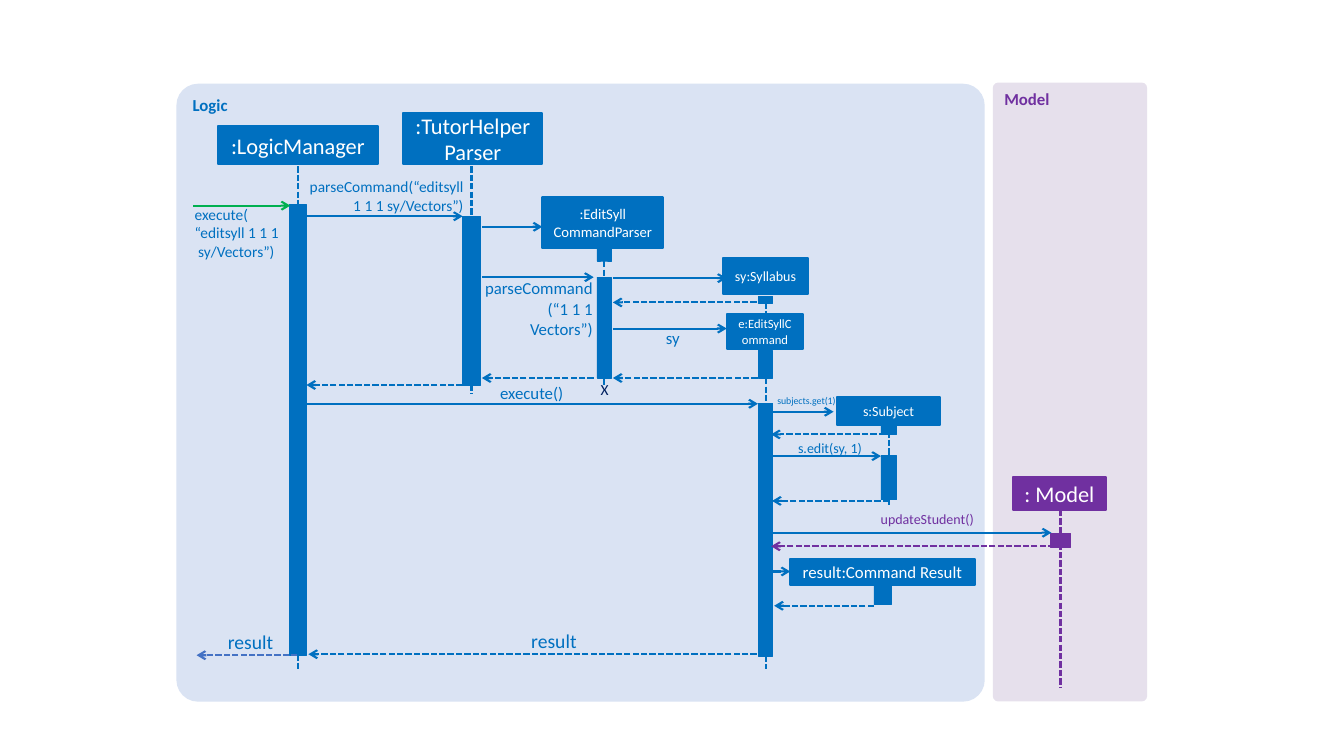
import pptx
import pptx.dml.color
import pptx.enum.dml
import pptx.enum.shapes
import pptx.enum.text
import pptx.oxml
import pptx.oxml.ns
import pptx.util

Pt = pptx.util.Pt
RGBColor = pptx.dml.color.RGBColor
SHAPE = pptx.enum.shapes.MSO_SHAPE
ALIGN = pptx.enum.text.PP_ALIGN
ANCHOR = pptx.enum.text.MSO_ANCHOR

BLUE = RGBColor(0x00, 0x70, 0xC0)
PURPLE = RGBColor(0x70, 0x30, 0xA0)
GREEN = RGBColor(0x00, 0xB0, 0x50)
INDIGO = RGBColor(0x44, 0x72, 0xC4)
NAVY = RGBColor(0x00, 0x20, 0x60)
WHITE = RGBColor(0xFF, 0xFF, 0xFF)
LOGIC_FILL = RGBColor(0xDA, 0xE3, 0xF3)
MODEL_FILL = RGBColor(0xE6, 0xE0, 0xEC)

# Horizontal centre of each participant's lifeline
MANAGER, PARSER, COMMAND_PARSER = 212.8, 336.8, 431.4
COMMAND, RESULT, SUBJECT, MODEL = 547, 630.4, 634.8, 757.5

# Layer title, box, fill, title colour
LAYERS = [
    ("Model", (709.2, 59, 110.2, 442.1), MODEL_FILL, PURPLE),
    ("Logic", (126, 59.8, 577.4, 441.4), LOGIC_FILL, BLUE),
]

# Lifeline centre, top, bottom, colour
LIFELINES = [
    (MANAGER, 118.8, 478.8, BLUE),
    (PARSER, 118.8, 281.5, BLUE),
    (COMMAND_PARSER, 186.5, 275, BLUE),
    (COMMAND, 216, 478, BLUE),
    (SUBJECT, 308.2, 362.2, BLUE),
    (MODEL, 364.3, 491.8, PURPLE),
]

# Lifeline centre, top, width, height, colour
ACTIVATIONS = [
    (MANAGER, 146.2, 11.5, 321.8, BLUE),
    (PARSER, 154.8, 13, 120.2, BLUE),
    (COMMAND_PARSER, 169.2, 10.1, 17.3, BLUE),
    (COMMAND_PARSER, 198, 10.1, 72, BLUE),
    (COMMAND, 211.7, 10.1, 5, BLUE),
    (COMMAND, 250.6, 10.1, 19.4, BLUE),
    (COMMAND, 288, 10.1, 180.7, BLUE),
    (RESULT, 418.3, 12.2, 13.7, BLUE),
    (SUBJECT, 302.4, 11.2, 7.9, BLUE),
    (SUBJECT, 325.4, 11.2, 31.7, BLUE),
    (MODEL, 380.9, 14.4, 10.1, PURPLE),
]

# Participant name, box, text size, fill
PARTICIPANTS = [
    (":LogicManager", (155.5, 90, 114.5, 27.4), 16, BLUE),
    (":TutorHelperParser", (288, 80.6, 99.4, 36.7), 16, BLUE),
    (":EditSyll\vCommandParser", (387.4, 141.1, 86.4, 36), 10.5, BLUE),
    ("sy:Syllabus", (516.2, 184.3, 61.2, 25.9), 10, BLUE),
    ("e:EditSyllCommand", (519.1, 224.6, 54.7, 24.5), 9, BLUE),
    ("s:Subject", (597.6, 283.7, 74.2, 20.2), 10, BLUE),
    ("result:Command Result", (564.5, 399.6, 131.8, 18), 12, BLUE),
    (": Model", (723.6, 340.6, 66.2, 23.8), 16, PURPLE),
]

# Sender x, receiver x, y, colour
CALLS = [
    (138.2, 207.4, 146.9, GREEN),
    (218.9, 330.5, 154.5, BLUE),
    (344.2, 387.4, 162, BLUE),
    (344.2, 424.1, 198, BLUE),
    (437.8, 519.1, 198.7, BLUE),
    (437.8, 519.1, 234.7, BLUE),
    (218.9, 541.4, 288.4, BLUE),
    (550.8, 595.4, 294.1, BLUE),
    (551.5, 629.3, 325.8, BLUE),
    (551.5, 751, 380.5, BLUE),
    (550.1, 564.5, 408.2, BLUE),
]
REPLIES = [
    (546.5, 437.8, 216, BLUE),
    (547.2, 437.8, 270, BLUE),
    (424.1, 344.2, 270, BLUE),
    (330.5, 218.9, 275, BLUE),
    (632.2, 550.8, 310.3, BLUE),
    (635, 551.5, 357.8, BLUE),
    (753.1, 550.8, 390.2, PURPLE),
    (624.2, 553, 432.7, BLUE),
    (546.5, 220.3, 467.3, BLUE),
    (212.4, 140.4, 468, INDIGO),
]

# Wording, box, text size, colour, alignment
LABELS = [
    ("execute(\n“editsyll 1 1 1\n sy/Vectors”)", (139, 146.2, 97.2, 40.3), 11, BLUE, ALIGN.LEFT),
    ("parseCommand(“editsyll 1 1 1 sy/Vectors”)", (218.9, 126.7, 112.3, 26.6), 11, BLUE, ALIGN.RIGHT),
    ("parseCommand(“1 1 1 Vectors”)", (344.9, 198.7, 78.5, 43.9), 12, BLUE, ALIGN.RIGHT),
    ("sy", (474.5, 234, 11, 14.4), 12, BLUE, ALIGN.RIGHT),
    ("X", (414, 271.4, 36, 14), 11, NAVY, ALIGN.CENTER),
    ("execute()", (343.4, 273.6, 59, 14.4), 12, BLUE, ALIGN.RIGHT),
    ("subjects.get(1)", (506.2, 282.2, 90.7, 8.6), 7, BLUE, ALIGN.RIGHT),
    ("s.edit(sy, 1)", (524.9, 313.9, 90.7, 12.2), 10, BLUE, ALIGN.RIGHT),
    ("updateStudent()", (583.2, 364.3, 112.3, 12.2), 10, PURPLE, ALIGN.RIGHT),
    ("result", (362.9, 449.3, 49, 17.3), 14, BLUE, ALIGN.RIGHT),
    ("result", (135.4, 450, 59.8, 17.3), 14, BLUE, ALIGN.RIGHT),
]


def write(frame, wording, size, color, align, bold=False):
    """Fill a text frame with evenly formatted, wrapping text."""
    frame.word_wrap = True
    frame.text = wording
    for paragraph in frame.paragraphs:
        paragraph.alignment = align
        for run in paragraph.runs:
            run.font.name = "Calibri"
            run.font.size = Pt(size)
            run.font.bold = bold
            run.font.color.rgb = color


def add_block(slide, kind, box, fill, outline=None):
    """Add a flat filled shape, with an outline of its own colour if a width is given."""
    block = slide.shapes.add_shape(kind, *map(Pt, box))
    block.shadow.inherit = False
    block.fill.solid()
    block.fill.fore_color.rgb = fill
    if outline:
        block.line.color.rgb = fill
        block.line.width = Pt(outline)
    else:
        block.line.fill.background()
    return block


def add_layer(slide, title, box, fill, color):
    """Add a rounded background panel titled at its top left."""
    layer = add_block(slide, SHAPE.ROUNDED_RECTANGLE, box, fill)
    layer.adjustments[0] = 0.035
    layer.text_frame.vertical_anchor = ANCHOR.TOP
    write(layer.text_frame, title, 12, color, ALIGN.LEFT, bold=True)


def add_participant(slide, name, box, size, fill):
    """Add the head box of a participant."""
    head = add_block(slide, SHAPE.RECTANGLE, box, fill, 1.5)
    head.text_frame.vertical_anchor = ANCHOR.MIDDLE
    write(head.text_frame, name, size, WHITE, ALIGN.CENTER)


def add_activation(slide, center, top, width, height, color):
    """Add an activation bar centred on a lifeline."""
    add_block(slide, SHAPE.RECTANGLE, (center - width / 2, top, width, height), color, 0.5)


def add_stroke(slide, start, end, color, dashed=False, arrow=False):
    """Add a straight line, optionally dashed or ending in an arrowhead."""
    stroke = slide.shapes.add_connector(
        pptx.enum.shapes.MSO_CONNECTOR.STRAIGHT, *map(Pt, (*start, *end)))
    stroke.line.color.rgb = color
    stroke.line.width = Pt(1.5)
    if dashed:
        stroke.line.dash_style = pptx.enum.dml.MSO_LINE.SQUARE_DOT
    if arrow:
        stroke.line._get_or_add_ln().append(pptx.oxml.parse_xml(
            '<a:tailEnd %s type="arrow"/>' % pptx.oxml.ns.nsdecls("a")))
    stroke._element.spPr.append(pptx.oxml.parse_xml(
        "<a:effectLst %s/>" % pptx.oxml.ns.nsdecls("a")))


def add_label(slide, wording, box, size, color, align):
    """Add a message label without inner margins."""
    frame = slide.shapes.add_textbox(*map(Pt, box)).text_frame
    frame.margin_left = frame.margin_right = frame.margin_top = frame.margin_bottom = 0
    write(frame, wording, size, color, align)


def main():
    """Build the sequence diagram and save it."""
    deck = pptx.Presentation()
    deck.slide_width, deck.slide_height = Pt(960), Pt(540)
    slide = deck.slides.add_slide(deck.slide_layouts[6])
    for layer in LAYERS:
        add_layer(slide, *layer)
    for center, top, bottom, color in LIFELINES:
        add_stroke(slide, (center, top), (center, bottom), color, dashed=True)
    for activation in ACTIVATIONS:
        add_activation(slide, *activation)
    for participant in PARTICIPANTS:
        add_participant(slide, *participant)
    for messages, dashed in ((CALLS, False), (REPLIES, True)):
        for sender, receiver, y, color in messages:
            add_stroke(slide, (sender, y), (receiver, y), color, dashed, arrow=True)
    for label in LABELS:
        add_label(slide, *label)
    deck.save("out.pptx")


main()
